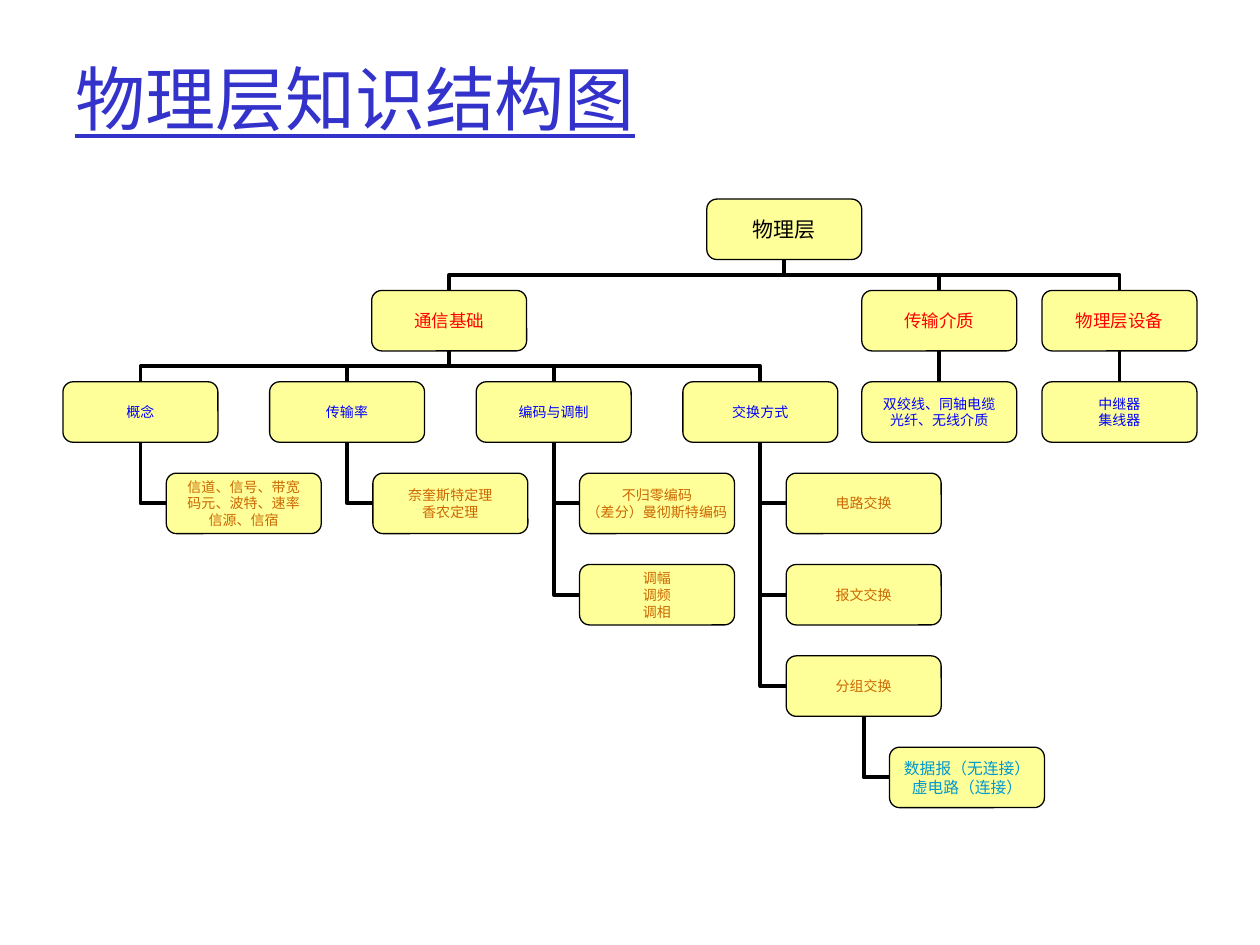
from dataclasses import dataclass, field

from lxml import etree
from pptx import Presentation
from pptx.dml.color import RGBColor
from pptx.enum.shapes import MSO_CONNECTOR, MSO_SHAPE
from pptx.enum.text import MSO_ANCHOR, PP_ALIGN
from pptx.oxml.ns import qn
from pptx.util import Inches, Pt

ELBOW, STRAIGHT = MSO_CONNECTOR.ELBOW, MSO_CONNECTOR.STRAIGHT
ROUNDED = MSO_SHAPE.ROUNDED_RECTANGLE
MIDDLE, CENTER = MSO_ANCHOR.MIDDLE, PP_ALIGN.CENTER

COLORS = {
    "title": "3333CC",
    "line": "000000",
    "box": "FFFF99",
    "root": "000000",
    "area": "FF0000",
    "topic": "0000FF",
    "detail": "CC6600",
    "leaf": "0099CC",
}
# Text colour and size at each depth of the tree
LEVELS = [("root", 12), ("area", 10), ("topic", 8), ("detail", 8), ("leaf", 9)]
HANGING_DEPTH = 3  # from here on, children hang below their parent in a list

BOX_WIDTH, BOX_HEIGHT = 1.23, 0.48
TOP = 1.58
ROW_STEP = (5.93 - TOP) / 6
INDENT = 0.82
TOPIC_LEFTS = [0.5 + 2 * INDENT * column for column in range(4)]


@dataclass
class Topic:
    lines: list
    left: float = 0
    children: list = field(default_factory=list)


TREE = Topic(["物理层"], 5.61, [
    Topic(["通信基础"], 2.95, [
        Topic(["概念"], TOPIC_LEFTS[0], [
            Topic(["信道、信号、带宽", "码元、波特、速率", "信源、信宿"]),
        ]),
        Topic(["传输率"], TOPIC_LEFTS[1], [
            Topic(["奈奎斯特定理", "香农定理"]),
        ]),
        Topic(["编码与调制"], TOPIC_LEFTS[2], [
            Topic(["不归零编码", "（差分）曼彻斯特编码"]),
            Topic(["调幅", "调频", "调相"]),
        ]),
        Topic(["交换方式"], TOPIC_LEFTS[3], [
            Topic(["电路交换"]),
            Topic(["报文交换"]),
            Topic(["分组交换"], children=[
                Topic(["数据报（无连接）", "虚电路（连接）"]),
            ]),
        ]),
    ]),
    Topic(["传输介质"], 6.84, [
        Topic(["双绞线、同轴电缆", "光纤、无线介质"], 6.84),
    ]),
    Topic(["物理层设备"], 8.27, [
        Topic(["中继器", "集线器"], 8.27),
    ]),
])


def color(name):
    return RGBColor.from_string(COLORS[name])


def add_span(para, text, font, size, color_name):
    span = para.add_run()
    span.text = text
    span.font.name = font
    span.font.size = Pt(size)
    span.font.color.rgb = color(color_name)
    return span


def add_title(page, text):
    box = page.shapes.add_textbox(Inches(0.5), Inches(0.25), Inches(8.25), Inches(1.05))
    frame = box.text_frame
    frame.word_wrap = True
    frame.vertical_anchor = MIDDLE
    add_span(frame.paragraphs[0], text, "Comic Neue", 40, "title").font.underline = True


def add_box(page, lines, left, top, depth):
    box = page.shapes.add_shape(
        ROUNDED, Inches(left), Inches(top), Inches(BOX_WIDTH), Inches(BOX_HEIGHT))
    box.shadow.inherit = False
    box.fill.solid()
    box.fill.fore_color.rgb = color("box")
    box.line.color.rgb = color("line")
    box.line.width = Pt(0.75)
    frame = box.text_frame
    frame.margin_left = frame.margin_right = frame.margin_top = frame.margin_bottom = 0
    frame.word_wrap = False
    frame.vertical_anchor = MIDDLE
    color_name, size = LEVELS[depth]
    for index, line in enumerate(lines):
        para = frame.add_paragraph() if index else frame.paragraphs[0]
        para.alignment = CENTER
        add_span(para, line, "Arial", size, color_name)


def add_line(page, kind, begin, end, degrees=0):
    """Draw a connector between two points, then turn it about its centre."""
    line = page.shapes.add_connector(kind, *(Inches(value) for value in begin + end))
    line.line.color.rgb = color("line")
    line.line.width = Pt(2.25)
    properties = line._element.spPr
    etree.SubElement(properties, qn("a:effectLst"))
    if degrees:
        properties.find(qn("a:xfrm")).set("rot", str(degrees * 60000))
    return line


def add_branch(page, parent, child):
    """Link the bottom of a parent to the top of a child: down, across, down."""
    (x1, y1), (x2, y2) = parent, child
    if x1 == x2:
        add_line(page, STRAIGHT, parent, child)
        return
    middle_x, middle_y = (x1 + x2) / 2, (y1 + y2) / 2
    half_width, half_height = (x2 - x1) / 2, (y2 - y1) / 2
    add_line(page, ELBOW,
             (middle_x - half_height, middle_y + half_width),
             (middle_x + half_height, middle_y - half_width), 90)


def add_hanger(page, parent, child):
    """Link the bottom of a parent to the left side of a child with one bend."""
    line = add_line(page, ELBOW, parent, child, 180)
    line._element.spPr.find(qn("a:prstGeom")).set("prst", "bentConnector2")


def add_tree(page, topic, left, row=0, depth=0):
    top = TOP + row * ROW_STEP
    bottom = (left + BOX_WIDTH / 2, top + BOX_HEIGHT)
    hanging = depth + 1 >= HANGING_DEPTH
    for index, child in enumerate(topic.children):
        child_row = row + 1 + (index if hanging else 0)
        child_left = left + INDENT if hanging else child.left
        child_top = TOP + child_row * ROW_STEP
        if hanging:
            add_hanger(page, bottom, (child_left, child_top + BOX_HEIGHT / 2))
        else:
            add_branch(page, bottom, (child_left + BOX_WIDTH / 2, child_top))
        add_tree(page, child, child_left, child_row, depth + 1)
    add_box(page, topic.lines, left, top, depth)


def main():
    deck = Presentation()
    deck.slide_width, deck.slide_height = Inches(10), Inches(7.5)
    page = deck.slides.add_slide(deck.slide_layouts[6])
    add_title(page, "物理层知识结构图")
    add_tree(page, TREE, TREE.left)
    deck.save("out.pptx")


if __name__ == "__main__":
    main()
